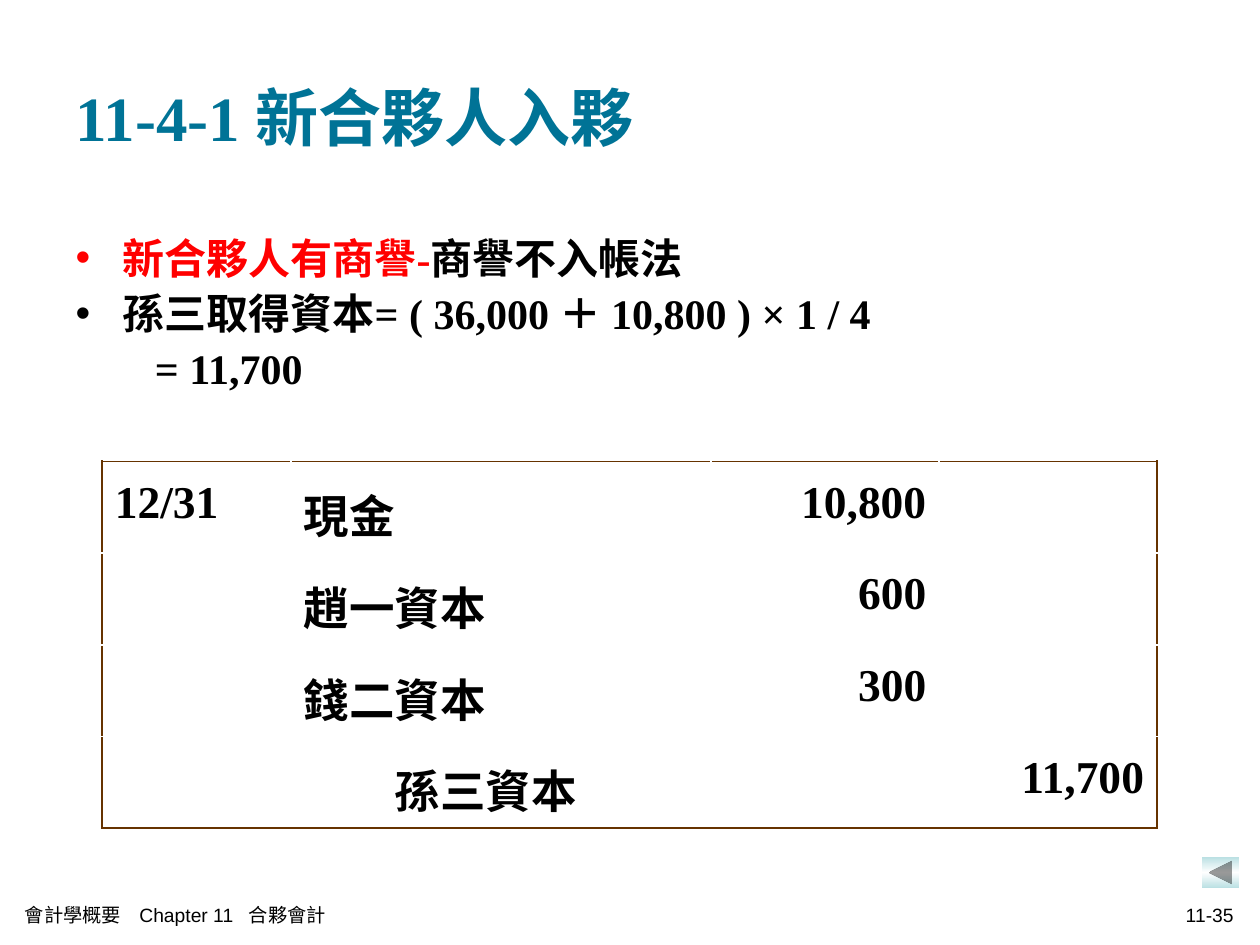
import pptx
import pptx.util
import pptx.dml.color
import pptx.enum.dml
import pptx.enum.shapes
import pptx.enum.text
from dataclasses import dataclass
from lxml import etree
from pptx.oxml.ns import qn

Cm, Pt = pptx.util.Cm, pptx.util.Pt
RGB = pptx.dml.color.RGBColor
Align = pptx.enum.text.PP_ALIGN
Anchor = pptx.enum.text.MSO_ANCHOR

TEAL = RGB(0x00, 0x73, 0x96)
RED = RGB(0xFF, 0x00, 0x00)
BLACK = RGB(0x00, 0x00, 0x00)
BROWN = RGB(0x66, 0x33, 0x00)
MIST = RGB(0xBB, 0xE0, 0xE3)
WHITE = RGB(0xFF, 0xFF, 0xFF)
SERIF, SANS = "Times New Roman", "Arial"


@dataclass
class Point:
    runs: list
    left: float
    mark: RGB | None = None


@dataclass
class Entry:
    date: str
    name: str
    debit: str
    credit: str
    indent: float = 0


@dataclass
class Foot:
    text: str
    left: float
    width: float
    align: Align
    stops: tuple = ()


POINTS = [
    Point([("新合夥人有商譽-", RED), ("商譽不入帳法", BLACK)], 0.95, RED),
    Point([("孫三取得資本= ( 36,000 ＋ 10,800 ) × 1 / 4", BLACK)], 0.95, BLACK),
    Point([("= 11,700", BLACK)], 1.6),
]
ENTRIES = [
    Entry("12/31", "現金", "10,800", ""),
    Entry("", "趙一資本", "600", ""),
    Entry("", "錢二資本", "300", ""),
    Entry("", "孫三資本", "", "11,700", 1.83),
]
WIDTHS = [3.81, 8.46, 4.6, 4.39]
FEET = [
    Foot("會計學概要\tChapter 11\t合夥會計", 0.25, 12.95, Align.LEFT, (2.31, 4.52)),
    Foot("11-35", 17.2, 7.92, Align.RIGHT),
]


def style(para, size: float, face: str, color: RGB, bold: bool = True) -> None:
    font = para.font
    font.size, font.name, font.bold = Pt(size), face, bold
    font.color.rgb = color


def place(shape, left: float, top: float, width: float, height: float) -> None:
    shape.left, shape.top = Cm(left), Cm(top)
    shape.width, shape.height = Cm(width), Cm(height)


def bullet(para, point: Point) -> None:
    props = para._p.get_or_add_pPr()
    props.set("marL", str(Cm(point.left)))
    props.set("indent", str(-Cm(point.left) if point.mark else 0))
    if point.mark:
        tint = etree.SubElement(props, qn("a:buClr"))
        etree.SubElement(tint, qn("a:srgbClr"), val=str(point.mark))
        etree.SubElement(props, qn("a:buChar"), char="•")
    else:
        etree.SubElement(props, qn("a:buNone"))


def border(cell, sides: str) -> None:
    props = cell._tc.get_or_add_tcPr()
    for side in sides:
        line = etree.SubElement(props, qn("a:ln" + side), w=str(Pt(1.08)))
        fill = etree.SubElement(line, qn("a:solidFill"))
        etree.SubElement(fill, qn("a:srgbClr"), val=str(BROWN))


def ledger(slide) -> None:
    count = len(ENTRIES)
    frame = slide.shapes.add_table(
        count, len(WIDTHS), Cm(2.06), Cm(9.3), Cm(sum(WIDTHS)), Cm(6.3))
    table = frame.table
    table.first_row = table.horz_banding = False
    for col, width in zip(table.columns, WIDTHS):
        col.width = Cm(width)
    for r, entry in enumerate(ENTRIES):
        texts = (entry.date, entry.name, entry.debit, entry.credit)
        for c, text in enumerate(texts):
            cell = table.cell(r, c)
            edges = {"L": c == 0, "R": c == len(WIDTHS) - 1,
                     "T": r == 0, "B": r == count - 1}
            border(cell, "".join(s for s, on in edges.items() if on))
            cell.fill.background()
            if not text:
                continue
            para = cell.text_frame.paragraphs[0]
            para.text = text
            para.alignment = Align.RIGHT if c > 1 else Align.LEFT
            para.line_spacing, para.space_before = 1.2, Pt(6.5)
            if c == 1 and entry.indent:
                para._p.get_or_add_pPr().set("marL", str(Cm(entry.indent)))
            style(para, 26, SERIF, BLACK)


def button(slide) -> None:
    kind = pptx.enum.shapes.MSO_SHAPE.ACTION_BUTTON_BACK_OR_PREVIOUS
    shape = slide.shapes.add_shape(kind, Cm(24.23), Cm(17.28), Cm(0.75), Cm(0.62))
    shape.shadow.inherit = False
    shape.line.fill.background()
    shape.fill.gradient()
    shape.fill.gradient_angle = 270
    stops = shape.fill._fill._gradFill.find(qn("a:gsLst"))
    for stop in list(stops):
        stops.remove(stop)
    for spot, color in ((0, MIST), (50, WHITE), (100, MIST)):
        stop = etree.SubElement(stops, qn("a:gs"), pos=str(spot * 1000))
        etree.SubElement(stop, qn("a:srgbClr"), val=str(color))


def footer(slide, foot: Foot) -> None:
    box = slide.shapes.add_textbox(Cm(foot.left), Cm(18.03), Cm(foot.width), Cm(0.84))
    frame = box.text_frame
    frame.word_wrap, frame.vertical_anchor = True, Anchor.MIDDLE
    para = frame.paragraphs[0]
    para.text, para.alignment = foot.text, foot.align
    if foot.stops:
        tabs = etree.SubElement(para._p.get_or_add_pPr(), qn("a:tabLst"))
        for stop in foot.stops:
            etree.SubElement(tabs, qn("a:tab"), pos=str(Cm(stop)), algn="l")
    style(para, 11, SANS, BLACK, False)


def main() -> None:
    deck = pptx.Presentation()
    deck.slide_width, deck.slide_height = Cm(25.4), Cm(19.05)
    slide = deck.slides.add_slide(deck.slide_layouts[1])

    # Title
    title = slide.shapes.title
    place(title, 1.27, 0.76, 22.86, 3.18)
    title.text_frame.vertical_anchor = Anchor.MIDDLE
    para = title.text_frame.paragraphs[0]
    para.text, para.alignment = "11-4-1 新合夥人入夥", Align.LEFT
    style(para, 36, SERIF, TEAL)

    # Bullet list
    body = slide.placeholders[1]
    place(body, 1.27, 4.45, 22.43, 3.63)
    frame = body.text_frame
    frame.auto_size = pptx.enum.text.MSO_AUTO_SIZE.NONE
    for i, point in enumerate(POINTS):
        para = frame.add_paragraph() if i else frame.paragraphs[0]
        bullet(para, point)
        para.line_spacing, para.space_before = 1.1, Pt(0)
        style(para, 24, SERIF, BLACK)
        for text, color in point.runs:
            run = para.add_run()
            run.text = text
            run.font.color.rgb = color

    # Journal entry, back button and footer
    ledger(slide)
    button(slide)
    for foot in FEET:
        footer(slide, foot)
    deck.save("out.pptx")


if __name__ == "__main__":
    main()
